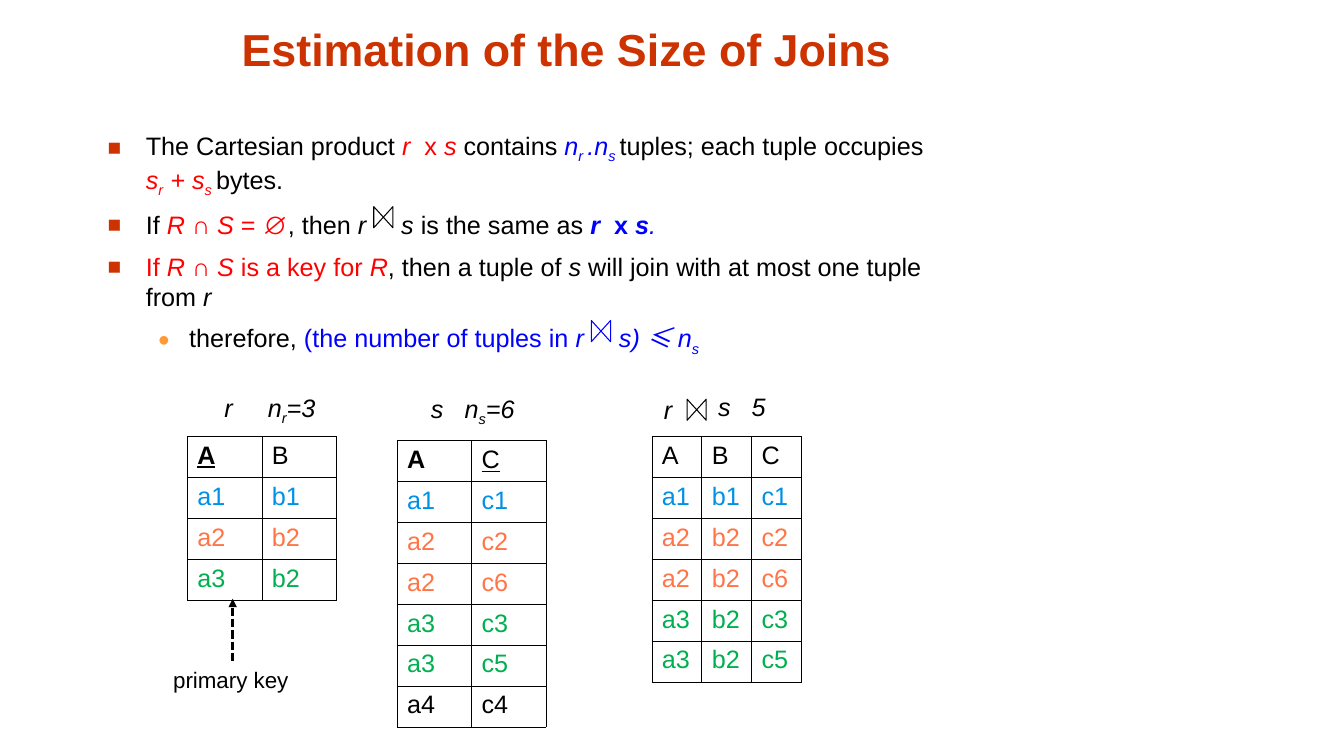
"""Builds the slide on estimating the size of joins."""
from dataclasses import dataclass

from lxml import etree
from pptx import Presentation
from pptx.dml.color import RGBColor
from pptx.enum.dml import MSO_LINE
from pptx.enum.shapes import MSO_CONNECTOR, MSO_SHAPE
from pptx.enum.text import MSO_ANCHOR, MSO_AUTO_SIZE, PP_ALIGN
from pptx.oxml.ns import qn
from pptx.util import Inches, Pt

BOWTIE, STRAIGHT = MSO_SHAPE.FLOWCHART_COLLATE, MSO_CONNECTOR.STRAIGHT
DASH, CENTER, BOTTOM = MSO_LINE.SQUARE_DOT, PP_ALIGN.CENTER, MSO_ANCHOR.BOTTOM
NO_FIT = MSO_AUTO_SIZE.NONE


@dataclass(frozen=True)
class Theme:
    """Colours, fonts and sizes of the slide."""
    font: str = "Arial"
    math_font: str = "Noto Sans CJK SC"
    title_size: int = 32
    size: int = 18
    note_size: int = 16
    black: str = "000000"
    title: str = "CC3300"
    dot: str = "FF9933"
    red: str = "FF0000"
    blue: str = "0000FF"
    sky: str = "0090E5"
    coral: str = "FF7547"
    green: str = "00B050"


T = Theme()
ROW_COLORS = {"a1": T.sky, "a2": T.coral, "a3": T.green}


def child(parent, tag, **attrs):
    """Append a drawing element to parent."""
    return etree.SubElement(parent, qn(tag), attrs)


def add_run(p, text, size=T.size, color=T.black, font=T.font, bold=False,
            italic=False, underline=False, sub=False, gap=0):
    """Add a formatted run; gap widens its characters, in points."""
    r = p.add_run()
    r.text = text
    f = r.font
    f.size, f.name, f.bold, f.italic, f.underline = Pt(size), font, bold, italic, underline
    f.color.rgb = RGBColor.from_string(color)
    rPr = r._r.get_or_add_rPr()
    child(rPr, "a:ea", typeface=font)
    if sub:
        rPr.set("baseline", "-25000")
    if gap:
        rPr.set("spc", str(gap * 100))


class Slide:
    """The current slide, laid out on a grid of tenths of an inch."""
    cell = Inches(0.1)

    def __init__(self, prs):
        """Add a title-only slide."""
        self.s = prs.slides.add_slide(prs.slide_layouts[5])

    def grid(self, *units):
        """Turn grid units into lengths."""
        return [round(u * self.cell) for u in units]

    def title(self, text, box):
        """Place and format the title."""
        sp = self.s.shapes.title
        sp.left, sp.top, sp.width, sp.height = self.grid(*box)
        tf = sp.text_frame
        tf.auto_size, tf.vertical_anchor = NO_FIT, BOTTOM
        p = tf.paragraphs[0]
        p.alignment = CENTER
        add_run(p, text, size=T.title_size, color=T.title, bold=True)

    def text(self, runs, box):
        """Add a one-paragraph text box."""
        tf = self.s.shapes.add_textbox(*self.grid(*box)).text_frame
        tf.word_wrap = True
        for text, fmt in runs:
            add_run(tf.paragraphs[0], text, **fmt)

    def bullets(self, items, box):
        """Add a two-level bullet list."""
        tf = self.s.shapes.add_textbox(*self.grid(*box)).text_frame
        tf.word_wrap = True
        levels = ((3.8, 3.8, "■", T.title, 90), (8.1, 3.1, "●", T.dot, 80))
        for i, (level, runs) in enumerate(items):
            p = tf.add_paragraph() if i else tf.paragraphs[0]
            left, hang, char, color, pct = levels[level]
            left, hang = self.grid(left, hang)
            p.level = level
            pPr = p._p.get_or_add_pPr()
            pPr.set("marL", str(left))
            pPr.set("indent", str(-hang))
            child(child(pPr, "a:buClr"), "a:srgbClr", val=color)
            child(pPr, "a:buSzPct", val=str(pct * 1000))
            child(pPr, "a:buFont", typeface=T.font)
            child(pPr, "a:buChar", char=char)
            p.space_before = Pt(7.9 if i else 0)
            for text, fmt in runs:
                add_run(p, text, **fmt)

    def bowtie(self, x, y, color=T.black):
        """Add a join symbol."""
        sp = self.s.shapes.add_shape(BOWTIE, *self.grid(x, y, 2.1, 1.9))
        sp.rotation = 90
        sp.shadow.inherit = False
        sp.fill.background()
        sp.line.color.rgb = RGBColor.from_string(color)
        sp.line.width = Pt(0.75)

    def table(self, header, rows, x, y, col_width, row_height=4.06):
        """Add a relation, its rows coloured by key."""
        data = [header] + [[(v, {"color": ROW_COLORS.get(row[0], T.black)}) for v in row]
                           for row in map(str.split, rows)]
        n, m = len(data), len(header)
        size = self.grid(x, y, col_width * m, row_height * n)
        tbl = self.s.shapes.add_table(n, m, *size).table
        tbl.first_row = tbl.horz_banding = False
        for row, values in zip(tbl.rows, data):
            row.height = self.grid(row_height)[0]
            for cell, (text, fmt) in zip(row.cells, values):
                add_run(cell.text_frame.paragraphs[0], text, **fmt)
                cell.fill.background()
                self.border(cell)

    def border(self, cell):
        """Draw a thin line round a cell."""
        tcPr = cell._tc.get_or_add_tcPr()
        for i, side in enumerate("LRTB"):
            ln = etree.Element(qn(f"a:ln{side}"), w=str(Pt(0.45)))
            child(child(ln, "a:solidFill"), "a:srgbClr", val=T.black)
            tcPr.insert(i, ln)

    def arrow(self, x1, y1, x2, y2):
        """Add a dashed arrow."""
        c = self.s.shapes.add_connector(STRAIGHT, *self.grid(x1, y1, x2, y2))
        c.line.color.rgb = RGBColor.from_string(T.black)
        c.line.width, c.line.dash_style = Pt(2), DASH
        child(c.line._get_or_add_ln(), "a:tailEnd", type="triangle")
        child(c._element.spPr, "a:effectLst")


def main():
    """Build and save the slide."""
    prs = Presentation()
    prs.slide_width, prs.slide_height = Inches(13.34), Inches(7.5)
    s = Slide(prs)
    plain, it, low = {}, {"italic": True}, {"italic": True, "sub": True}
    red, blue = {"color": T.red}, {"color": T.blue}
    red_it, blue_it = red | it, blue | it
    red_low, blue_low = red | low, blue | low
    strong = blue | {"bold": True}
    join_gap = (" ", it | {"gap": 20})

    s.title("Estimation of the Size of Joins", (11.2, 1.3, 90.1, 6.7))
    s.bullets([
        (0, [("The Cartesian product ", plain), ("r", red_it), (" ", red | {"gap": 5}),
             ("x ", red), ("s ", red_it), ("contains ", plain), ("n", blue_it),
             ("r ", blue_low), (".n", blue_it), ("s ", blue_low),
             ("tuples; each tuple occupies ", plain), ("s", red_it), ("r", red_low),
             (" + s", red_it), ("s ", red_low), ("bytes.", plain)]),
        (0, [("If ", plain), ("R ", red_it), ("∩ ", red), ("S", red_it), (" = ∅", red),
             (", then ", plain), ("r", it), join_gap, ("s", it), (" is the same as ", plain),
             ("r", strong | it), (" ", strong | {"gap": 5}), ("x ", strong),
             ("s", strong | it), (".", blue_it)]),
        (0, [("If ", red), ("R ", red_it), ("∩ ", red), ("S", red_it),
             (" is a key for ", red), ("R", red_it), (", then a tuple of ", plain), ("s", it),
             (" will join with at most one tuple from ", plain), ("r", it)]),
        (1, [("therefore, ", plain), ("(the number of tuples in ", blue), ("r", blue_it),
             join_gap, ("s) ", blue_it), ("≤ ", blue_it | {"font": T.math_font}),
             ("n", blue_it), ("s", blue_low)]),
    ], (9.7, 12.4, 83.7, 25.1))
    s.bowtie(58.6, 31.9, T.blue)
    s.bowtie(37, 20.6)
    s.bowtie(68.1, 39.7)

    wide = it | {"gap": 10}
    s.text([("r", it), join_gap, ("n", it), ("r", low), ("=3", it)], (21.3, 38.4, 12, 4.4))
    s.text([("s", it), (" ", wide), ("n", it), ("s", low), ("=6", it)], (41.8, 38.5, 13, 4.4))
    s.text([("r", it)], (64.9, 38.6, 4.3, 4))
    s.text([("s", it), (" ", wide), ("5", it)], (70.3, 38.3, 9, 4))

    bold, key = {"bold": True}, {"underline": True}
    s.table([("A", bold | key), ("B", plain)], ["a1 b1", "a2 b2", "a3 b2"], 18.6, 43.3, 7.4)
    s.table([(name, plain) for name in "ABC"],
            ["a1 b1 c1", "a2 b2 c2", "a2 b2 c6", "a3 b2 c3", "a3 b2 c5"], 64.7, 43.3, 4.95)
    s.table([("A", bold), ("C", key)],
            ["a1 c1", "a2 c2", "a2 c6", "a3 c3", "a3 c5", "a4 c4"], 39.4, 43.7, 7.4)

    s.text([("primary key", {"size": T.note_size})], (16.2, 65.6, 13.8, 3.7))
    s.arrow(23.1, 65.6, 23.1, 59.4)
    prs.save("out.pptx")


if __name__ == "__main__":
    main()
